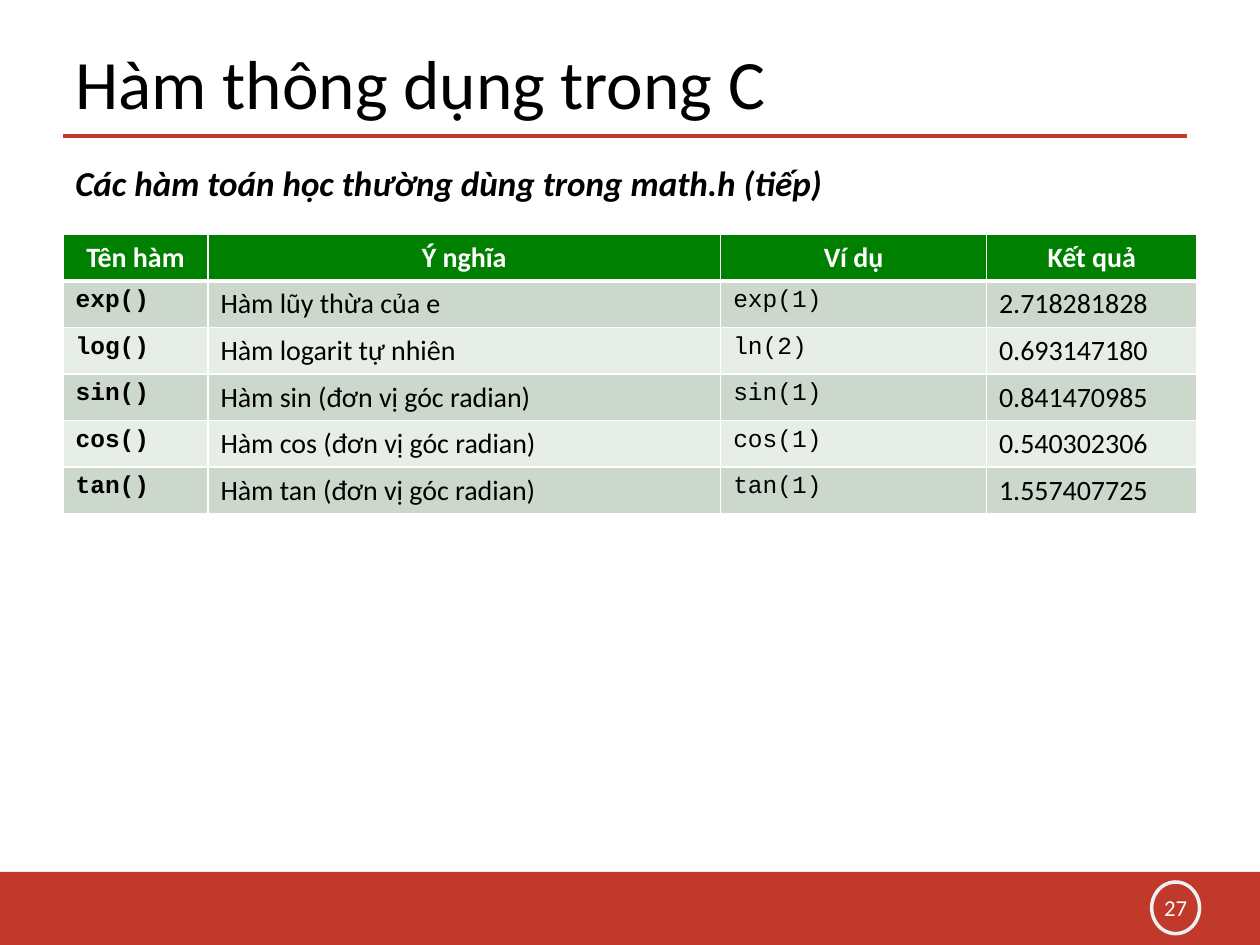
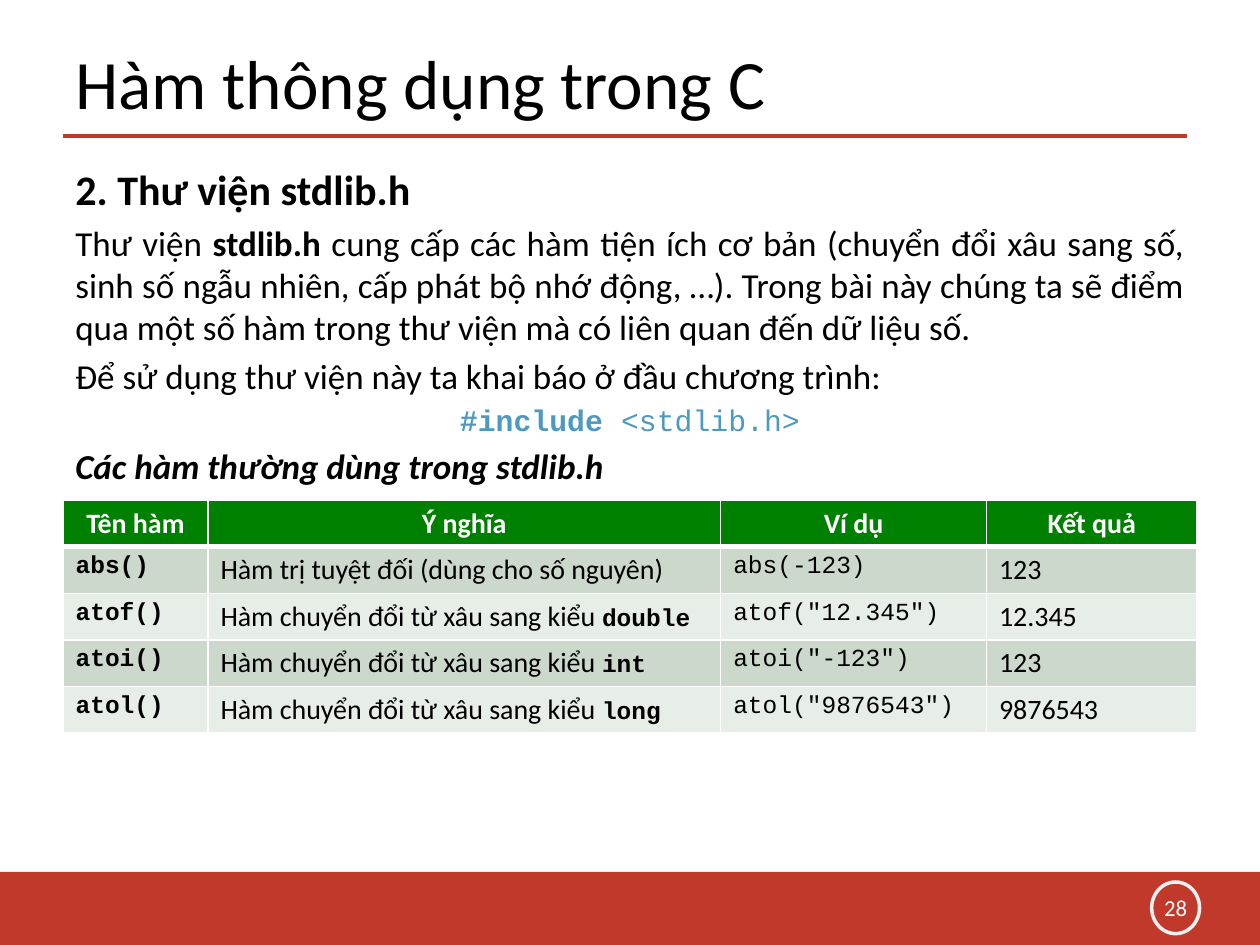
from dataclasses import dataclass

from lxml.etree import SubElement
from pptx import Presentation
from pptx.dml.color import RGBColor
from pptx.enum.shapes import MSO_CONNECTOR, MSO_SHAPE
from pptx.enum.text import MSO_ANCHOR, PP_ALIGN
from pptx.oxml.ns import qn
from pptx.util import Emu, Pt


@dataclass(frozen=True)
class Theme:
    accent: str = "C0392B"
    ring: str = "ECF0F1"
    page: str = "FAFCFC"
    ink: str = "000000"
    white: str = "FFFFFF"
    code: str = "4D99BF"
    header: str = "008000"
    bands: tuple = ("CCD8CC", "E7EDE7")
    sans: str = "Calibri"
    mono: str = "Courier New"
    title_size: float = 39.6
    heading_size: int = 24
    body_size: int = 20
    include_size: int = 17
    cell_size: int = 16
    cell_code_size: int = 14
    page_size: int = 13


T = Theme()
EMU_PER_PX = 9144  # 100 px to the inch


def style(size, color=T.ink, name=T.sans, bold=False, italic=False):
    return dict(size=Pt(size), color=color, name=name, bold=bold, italic=italic)


TITLE = style(T.title_size)
HEADING = style(T.heading_size, bold=True)
BODY = style(T.body_size)
STRONG = style(T.body_size, bold=True)
SUBHEAD = style(T.body_size, bold=True, italic=True)
INCLUDE = style(T.include_size, T.code, T.mono)
INCLUDE_BOLD = style(T.include_size, T.code, T.mono, bold=True)
HEADER = style(T.cell_size, T.white, bold=True)
CELL = style(T.cell_size)
CELL_CODE = style(T.cell_code_size, name=T.mono)
CELL_KEYWORD = style(T.cell_code_size, name=T.mono, bold=True)
PAGE = style(T.page_size, T.page)

CONTENT_LEFT, CONTENT_WIDTH = 50, 900
COLUMN_WIDTHS = (115, 407, 211, 167)
ROW_HEIGHT = 37
COLUMN_TITLES = ("Tên hàm", "Ý nghĩa", "Ví dụ", "Kết quả")
DECK_TITLE = "Hàm thông dụng trong C"
CONVERT = "Hàm chuyển đổi từ xâu sang kiểu "


def px(*lengths):
    return [Emu(n * EMU_PER_PX) for n in lengths]


def rgb(color):
    return RGBColor.from_string(color)


def write(p, runs, align=PP_ALIGN.LEFT):
    """Fill a paragraph with (text, style) runs."""
    p.alignment = align
    for text, fmt in runs:
        r = p.add_run()
        r.text = text
        for key, value in fmt.items():
            if key == "color":
                r.font.color.rgb = rgb(value)
            else:
                setattr(r.font, key, value)


def add_text(s, box, paragraphs, anchor=MSO_ANCHOR.TOP, spacing=0):
    """Add a text box of (runs, align) paragraphs; spacing is a share of the type size."""
    tf = s.shapes.add_textbox(*px(*box)).text_frame
    tf.word_wrap = True
    tf.vertical_anchor = anchor
    for i, (runs, align) in enumerate(paragraphs):
        p = tf.add_paragraph() if i else tf.paragraphs[0]
        write(p, runs, align)
        p.space_before = Pt(round(spacing * runs[0][1]["size"].pt, 1))


def add_title(s, box):
    left, top, width, height = box
    rule = s.shapes.add_connector(
        MSO_CONNECTOR.STRAIGHT, *px(left, top + 78, left + width, top + 78))
    rule.line.color.rgb = rgb(T.accent)
    rule.line.width = Pt(2.25)
    SubElement(rule._element.spPr, qn("a:effectLst"))
    add_text(s, (left, top, 800, height),
             [([(DECK_TITLE, TITLE)], PP_ALIGN.LEFT)], MSO_ANCHOR.MIDDLE)


def add_footer(s, box, number):
    left, top, width, height = box
    band = s.shapes.add_shape(MSO_SHAPE.RECTANGLE, *px(*box))
    band.fill.solid()
    band.fill.fore_color.rgb = rgb(T.accent)
    band.line.fill.background()
    right = left + width
    ring = s.shapes.add_shape(MSO_SHAPE.OVAL, *px(right - 86, top + 8, 38, 41))
    ring.fill.background()
    ring.line.color.rgb = rgb(T.ring)
    ring.line.width = Pt(2)
    for sp in (band, ring):
        sp.shadow.inherit = False
    add_text(s, (right - 92, top + 12, 50, 32),
             [([(str(number), PAGE)], PP_ALIGN.CENTER)], MSO_ANCHOR.MIDDLE)


def format_cell(cell, fill, bottom):
    """Set white borders, then the fill, which must follow them in the XML."""
    tc_pr = cell._tc.get_or_add_tcPr()
    for side, points in (("L", 1), ("R", 1), ("T", 1), ("B", bottom)):
        ln = SubElement(tc_pr, qn(f"a:ln{side}"), w=str(Pt(points)))
        SubElement(SubElement(ln, qn("a:solidFill")), qn("a:srgbClr"), val=T.white)
    cell.fill.solid()
    cell.fill.fore_color.rgb = rgb(fill)


def add_function_table(s, top, functions):
    """List functions given as (name, meaning, keyword, example, result)."""
    count = len(functions) + 1
    table = s.shapes.add_table(
        count, len(COLUMN_WIDTHS),
        *px(CONTENT_LEFT, top, CONTENT_WIDTH, count * ROW_HEIGHT)).table
    table.horz_banding = False
    for column, width in zip(table.columns, px(*COLUMN_WIDTHS)):
        column.width = width
    rows = [[[(title, HEADER)] for title in COLUMN_TITLES]]
    for name, meaning, keyword, example, result in functions:
        meaning_runs = [(meaning, CELL)]
        if keyword:
            meaning_runs.append((keyword, CELL_KEYWORD))
        rows.append([[(name, CELL_KEYWORD)], meaning_runs,
                     [(example, CELL_CODE)], [(result, CELL)]])
    for i, row in enumerate(rows):
        table.rows[i].height = px(ROW_HEIGHT)[0]
        fill = T.bands[(i - 1) % 2] if i else T.header
        for j, runs in enumerate(row):
            cell = table.cell(i, j)
            write(cell.text_frame.paragraphs[0], runs,
                  PP_ALIGN.LEFT if i else PP_ALIGN.CENTER)
            format_cell(cell, fill, 1 if i else 3)


def add_base_slide(prs, number):
    s = prs.slides.add_slide(prs.slide_layouts[6])
    add_footer(s, (0, 692, 1000, 58), number)
    add_title(s, (CONTENT_LEFT, 30, 892, 69))
    return s


def add_math_slide(prs):
    s = add_base_slide(prs, 27)
    add_function_table(s, 186, [
        ("exp()", "Hàm lũy thừa của e", "", "exp(1)", "2.718281828"),
        ("log()", "Hàm logarit tự nhiên", "", "ln(2)", "0.693147180"),
        ("sin()", "Hàm sin (đơn vị góc radian)", "", "sin(1)", "0.841470985"),
        ("cos()", "Hàm cos (đơn vị góc radian)", "", "cos(1)", "0.540302306"),
        ("tan()", "Hàm tan (đơn vị góc radian)", "", "tan(1)", "1.557407725"),
    ])
    add_text(s, (CONTENT_LEFT, 123, 890, 44), [
        ([("Các hàm toán học thường dùng trong math.h (tiếp)", SUBHEAD)],
         PP_ALIGN.JUSTIFY)])


def add_stdlib_slide(prs):
    s = add_base_slide(prs, 28)
    add_text(s, (CONTENT_LEFT, 125, CONTENT_WIDTH, 281), [
        ([("2. Thư viện stdlib.h", HEADING)], PP_ALIGN.JUSTIFY),
        ([("Thư viện ", BODY), ("stdlib.h", STRONG),
          (" cung cấp các hàm tiện ích cơ bản (chuyển đổi xâu sang số, "
           "sinh số ngẫu nhiên, cấp phát bộ nhớ động, …). Trong bài này "
           "chúng ta sẽ điểm qua một số hàm trong thư viện mà có liên quan "
           "đến dữ liệu số.", BODY)], PP_ALIGN.JUSTIFY),
        ([("Để sử dụng thư viện này ta khai báo ở đầu chương trình:", BODY)],
         PP_ALIGN.JUSTIFY),
        ([("#include ", INCLUDE_BOLD), ("<stdlib.h>", INCLUDE)],
         PP_ALIGN.CENTER),
        ([("Các hàm thường dùng trong stdlib.h", SUBHEAD)], PP_ALIGN.JUSTIFY),
    ], spacing=0.2)
    add_function_table(s, 397, [
        ("abs()", "Hàm trị tuyệt đối (dùng cho số nguyên)", "",
         "abs(-123)", "123"),
        ("atof()", CONVERT, "double", 'atof("12.345")', "12.345"),
        ("atoi()", CONVERT, "int", 'atoi("-123")', "123"),
        ("atol()", CONVERT, "long", 'atol("9876543")', "9876543"),
    ])


def main():
    prs = Presentation()
    prs.slide_width, prs.slide_height = px(1000, 750)
    add_math_slide(prs)
    add_stdlib_slide(prs)
    prs.save("out.pptx")


if __name__ == "__main__":
    main()
